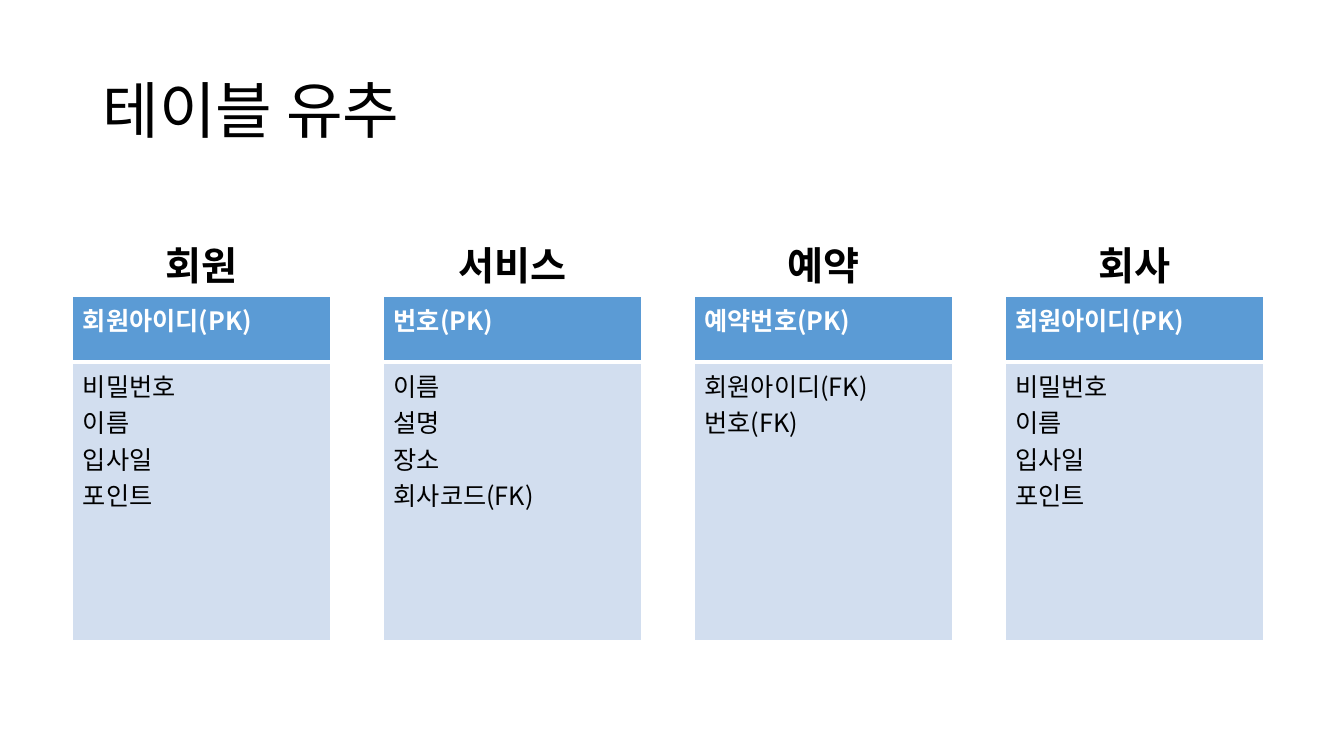
from pptx import Presentation
from pptx.dml.color import RGBColor
from pptx.enum.text import MSO_ANCHOR as Anchor, PP_ALIGN as Align
from pptx.oxml.ns import qn
from pptx.util import Pt
from lxml.etree import SubElement

FONT = "Noto Sans CJK KR"
BLACK, WHITE, BLUE, PALE = "000000", "FFFFFF", "5B9BD5", "D2DEEF"
ENTITIES = [
    ("회원", "회원아이디(PK)", ["비밀번호", "이름", "입사일", "포인트"]),
    ("서비스", "번호(PK)", ["이름", "설명", "장소", "회사코드(FK)"]),
    ("예약", "예약번호(PK)", ["회원아이디(FK)", "번호(FK)"]),
    ("회사", "회원아이디(PK)", ["비밀번호", "이름", "입사일", "포인트"]),
]


def color(value):
    return RGBColor.from_string(value)


def write(frame, text, size=18, fill=BLACK, bold=False, align=Align.LEFT, spacing=None):
    """Fill a text frame, one paragraph per line of text."""
    for index, line in enumerate(text.split("\n")):
        para = frame.paragraphs[0] if index == 0 else frame.add_paragraph()
        para.alignment = align
        para.line_spacing = spacing
        span = para.add_run()
        span.text = line
        font = span.font
        font.name, font.size, font.bold = FONT, Pt(size), bold
        font.color.rgb = color(fill)
        SubElement(font._element, qn("a:ea"), typeface=FONT)


def format_cell(cell, fill, **borders):
    properties = cell._tc.get_or_add_tcPr()
    for side in "LRTB":
        line = SubElement(properties, qn(f"a:ln{side}"), w=str(Pt(borders.get(side, 1))))
        paint = SubElement(line, qn("a:solidFill"))
        SubElement(paint, qn("a:srgbClr"), val=WHITE)
    cell.fill.solid()
    cell.fill.fore_color.rgb = color(fill)


def add_title(page, text, left, top, width, height):
    title = page.shapes.title
    title.left, title.top, title.width, title.height = map(Pt, (left, top, width, height))
    title.text_frame.vertical_anchor = Anchor.MIDDLE
    write(title.text_frame, text, size=44, spacing=0.9)


def add_entity(page, entity, left, top, width):
    name, key, fields = entity
    key_height, fields_height, name_height = 46.8, 199.4, 41

    # Entity name above its table
    box = page.shapes.add_textbox(Pt(left), Pt(top), Pt(width), Pt(name_height))
    box.text_frame.word_wrap = True
    write(box.text_frame, name, size=28, bold=True, align=Align.CENTER)

    # Key row and field row
    table = page.shapes.add_table(2, 1, Pt(left), Pt(top + 43.2), Pt(width),
                                  Pt(key_height + fields_height)).table
    table.horz_banding = False
    table.rows[0].height, table.rows[1].height = Pt(key_height), Pt(fields_height)
    key_cell, fields_cell = table.cell(0, 0), table.cell(1, 0)
    format_cell(key_cell, BLUE, B=3)
    format_cell(fields_cell, PALE, T=3)
    write(key_cell.text_frame, key, fill=WHITE, bold=True)
    write(fields_cell.text_frame, "\n".join(fields))


def main():
    deck = Presentation()
    deck.slide_width, deck.slide_height = Pt(960), Pt(540)
    page = deck.slides.add_slide(deck.slide_layouts.get_by_name("Title Only"))
    add_title(page, "테이블 유추", 66, 28.8, 828, 104.4)
    for column, entity in enumerate(ENTITIES):
        add_entity(page, entity, 52 + column * 222, 168.5, 184.3)
    deck.save("out.pptx")


if __name__ == "__main__":
    main()
